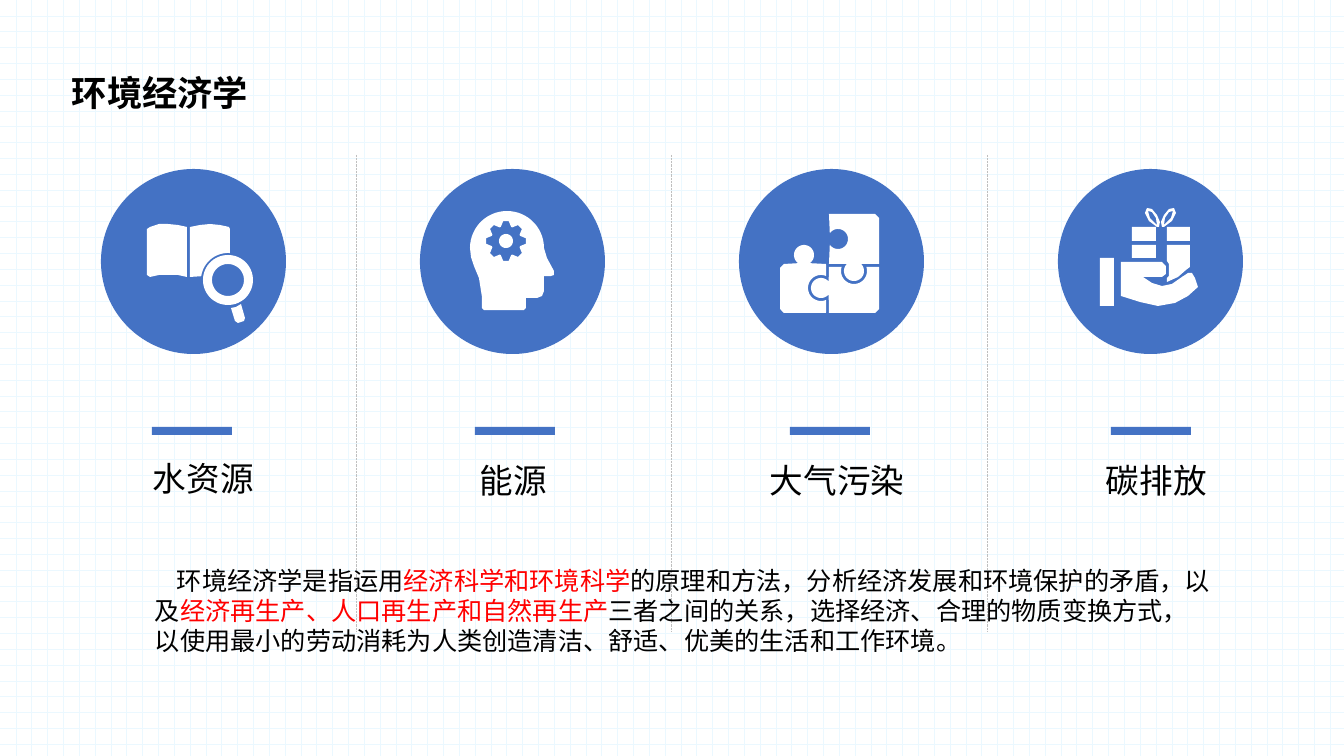
"""Builds the environmental economics slide with four icon columns."""
import math

import lxml.etree
import pptx
import pptx.dml.color
import pptx.enum.dml
import pptx.enum.shapes
import pptx.enum.text
import pptx.oxml.ns
import pptx.util

PX = 914400 / 100.8
FINE = 20
COLORS = {
    "blue": "4472C4", "white": "FFFFFF", "grid": "EBF8FF",
    "rule": "BFBFBF", "text": "000000", "accent": "FF0000",
}


def px(n):
    return pptx.util.Emu(round(n * PX))


def color(name):
    return pptx.dml.color.RGBColor.from_string(COLORS[name])


def arc(cx, cy, r, start=0, end=360):
    n = max(2, math.ceil(abs(end - start) / 6))
    angles = [math.radians(start + (end - start) * i / n) for i in range(n + 1)]
    return [(cx + r * math.cos(a), cy + r * math.sin(a)) for a in angles]


def box(left, top, right, bottom):
    return [(left, top), (right, top), (right, bottom), (left, bottom)]


def mirror(points, axis_sum):
    return [(axis_sum - x, y) for x, y in points]


def gear(cx, cy, teeth=8):
    profile = [(-20, 15), (-8, 20), (8, 20), (20, 15)]
    return [
        arc(cx, cy, r, tooth * 360 / teeth + turn, 0)[0]
        for tooth in range(teeth) for turn, r in profile
    ]


class Slide:
    """Holds the style and the current slide."""

    def __init__(self, prs, font):
        self.s = prs.slides.add_slide(prs.slide_layouts[6])
        self.font = font
        fill = self.s.background.fill
        fill.patterned()
        fill.pattern = pptx.enum.dml.MSO_PATTERN.DOTTED_GRID
        fill.fore_color.rgb = color("grid")
        fill.back_color.rgb = color("white")

    def paint(self, sp, fill):
        sp.shadow.inherit = False
        sp.fill.solid()
        sp.fill.fore_color.rgb = color(fill)
        sp.line.fill.background()

    def shape(self, kind, x, y, w, h, fill="blue"):
        sp = self.s.shapes.add_shape(kind, px(x), px(y), px(w), px(h))
        self.paint(sp, fill)

    def icon(self, contours, fill="white"):
        fine = [[(x * FINE, y * FINE) for x, y in c] for c in contours]
        builder = self.s.shapes.build_freeform(*fine[0][0], scale=PX / FINE)
        builder.add_line_segments(fine[0][1:])
        for contour in fine[1:]:
            builder.move_to(*contour[0])
            builder.add_line_segments(contour[1:])
        self.paint(builder.convert_to_shape(), fill)

    def rule(self, x, top, bottom):
        kind = pptx.enum.shapes.MSO_CONNECTOR.STRAIGHT
        sp = self.s.shapes.add_connector(kind, px(x), px(top), px(x), px(bottom))
        sp.line.color.rgb = color("rule")
        sp.line.width = pptx.util.Pt(0.25)
        sp.line.dash_style = pptx.enum.dml.MSO_LINE.SQUARE_DOT
        lxml.etree.SubElement(
            sp._element.spPr, pptx.oxml.ns.qn("a:effectLst"))

    def text(self, x, y, w, h, runs, size, bold=False, spacing=1.0,
             before=0, indent=0, middle=False):
        sp = self.s.shapes.add_textbox(px(x), px(y), px(w), px(h))
        tf = sp.text_frame
        tf.word_wrap = True
        if middle:
            tf.vertical_anchor = pptx.enum.text.MSO_ANCHOR.MIDDLE
        else:
            tf.auto_size = pptx.enum.text.MSO_AUTO_SIZE.SHAPE_TO_FIT_TEXT
        p = tf.paragraphs[0]
        p.line_spacing = spacing
        p.space_before = pptx.util.Pt(before)
        p._p.get_or_add_pPr().set("indent", str(px(indent)))
        for words, tint in runs:
            r = p.add_run()
            r.text = words
            r.font.size = pptx.util.Pt(size)
            r.font.bold = bold
            r.font.color.rgb = color(tint)
            r.font.name = self.font
            ea = lxml.etree.SubElement(
                r._r.get_or_add_rPr(), pptx.oxml.ns.qn("a:ea"))
            ea.set("typeface", self.font)


BOOK = [
    [(147, 229), (150, 227), (159, 224), (168, 224), (178, 225), (187, 227),
     (187, 277), (178, 275), (168, 275), (159, 275), (150, 277), (147, 275)],
    [(190, 227), (200, 225), (210, 224), (220, 225), (229, 227), (230, 229),
     *arc(228, 280, 27, -86, -172), (190, 277)],
    arc(228, 280, 25),
    arc(228, 280, 16),
    [(231, 308), (236, 307), (241, 304), (245, 318), (244, 321), (238, 323),
     (235, 321)],
]
HEAD = [
    [*arc(507, 248, 37, 180, 360), (547, 258), (554, 271), (554, 275),
     (551, 276), (544, 276), (544, 291), (542, 296), (537, 298), (526, 298),
     (526, 308), (524, 310), (484, 310), (482, 308), (482, 297), (479, 278),
     (474, 266), (471, 257)],
    gear(506, 241),
    arc(506, 241, 7),
]
PUZZLE = [
    [(829, 267), (842, 267), *arc(854, 271, 13, 198, -18), (879, 267),
     (879, 309), (875, 313), (829, 313), *arc(821, 288, 10, 40, 320)],
    [(780, 268), (784, 264), *arc(804, 255, 10, 125, 415), (826, 264),
     *arc(821, 288, 13, -67, -293), (826, 313), (784, 313), (780, 309)],
    [(829, 214), (875, 214), (879, 218), (879, 264),
     *arc(854, 271, 10, -45, 225), (829, 264),
     *arc(838, 239, 10, 145, -145)],
]
BOW = [
    [(1157, 227), (1149, 221), (1145, 213), (1147, 208), (1152, 209),
     (1157, 215), (1160, 222), (1159, 227)],
    [(1157, 225), (1150, 218), (1148, 211), (1152, 212), (1156, 218)],
]
GIFT = [
    *BOW,
    *[mirror(loop, 2321) for loop in BOW],
    box(1132, 227, 1156, 241),
    box(1167, 227, 1190, 241),
    box(1132, 245, 1156, 258),
    [(1167, 245), (1190, 245), (1190, 267), (1186, 270), (1178, 277),
     (1167, 282), (1167, 278), (1169, 276), (1169, 264), (1167, 261)],
    box(1100, 258, 1114, 306),
    [(1121, 262), (1162, 262), (1166, 266), (1166, 274), (1162, 277),
     (1143, 277), (1152, 283), (1162, 286), (1172, 284), (1182, 277),
     (1188, 273), (1192, 273), (1195, 278), (1198, 287), (1188, 296),
     (1175, 303), (1158, 306), (1140, 302), (1121, 296)],
]
COLUMNS = [
    ("水资源", BOOK, 152, 143, 457),
    ("能源", HEAD, 475, 470, 459),
    ("大气污染", PUZZLE, 790, 760, 459),
    ("碳排放", GIFT, 1111, 1096, 459),
]
SUMMARY = [
    ("环境经济学是指运用", "text"),
    ("经济科学和环境科学", "accent"),
    ("的原理和方法，分析经济发展和环境保护的矛盾，以及", "text"),
    ("经济再生产、人口再生产和自然再生产", "accent"),
    ("三者之间的关系，选择经济、合理的物质变换方式，"
     "以使用最小的劳动消耗为人类创造清洁、舒适、优美的生活和工作环境。", "text"),
]


def main():
    prs = pptx.Presentation()
    prs.slide_width, prs.slide_height = px(1344), px(756)
    slide = Slide(prs, "Noto Sans CJK SC")
    kinds = pptx.enum.shapes.MSO_SHAPE
    slide.text(62, 71, 566, 48, [("环境经济学", "text")], 25.2, bold=True,
               spacing=0.9, middle=True)
    for x in (356, 671, 987):
        slide.rule(x, 155, 631)
    for i, (label, icon, bar_x, label_x, label_y) in enumerate(COLUMNS):
        slide.shape(kinds.OVAL, 101 + 319 * i, 169, 185, 185)
        slide.icon(icon)
        slide.shape(kinds.RECTANGLE, bar_x, 427, 80, 8)
        slide.text(label_x, label_y, 259, 46, [(label, "text")], 24,
                   spacing=0.9, before=10)
    slide.text(145, 560, 1077, 102, SUMMARY, 18, indent=22)
    prs.save("out.pptx")


if __name__ == "__main__":
    main()
